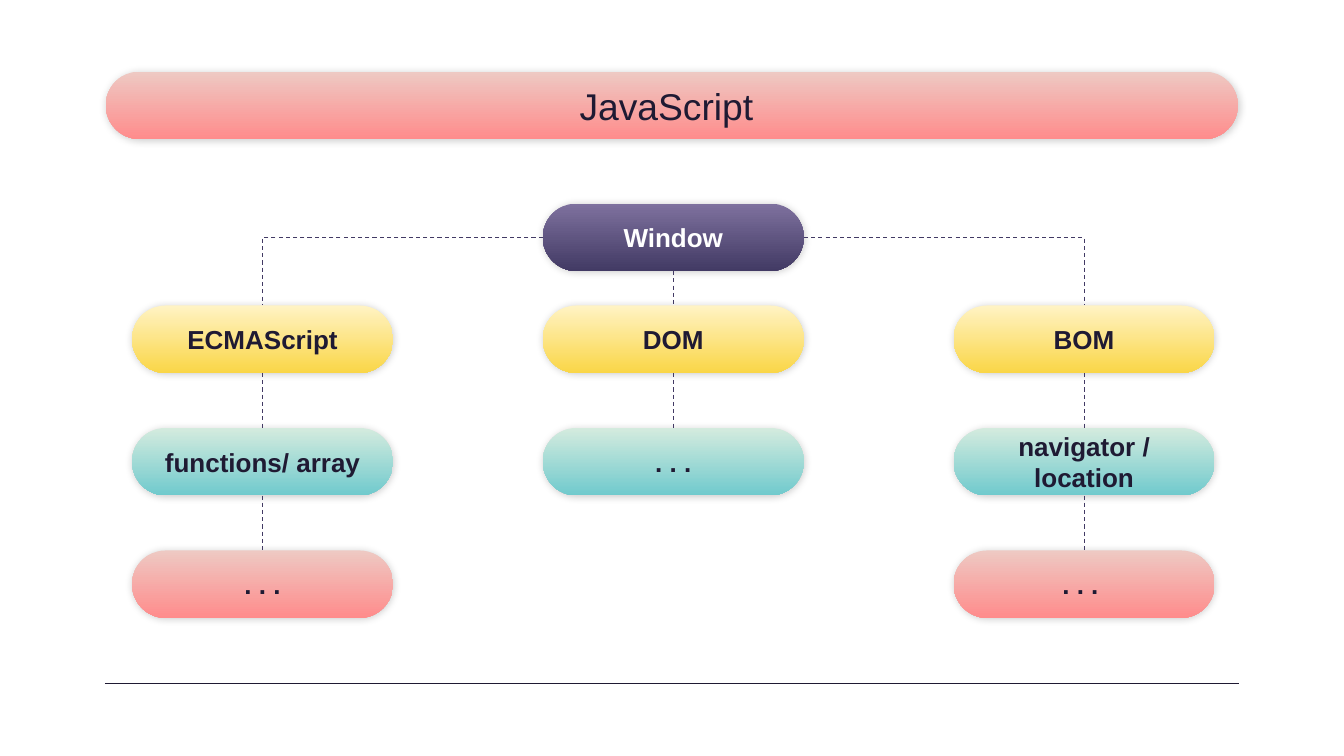
from dataclasses import dataclass

import lxml.etree
import pptx
import pptx.dml.color
import pptx.enum.dml
import pptx.enum.shapes
import pptx.enum.text
import pptx.oxml.ns
import pptx.shapes.autoshape
import pptx.shapes.connector
import pptx.slide
import pptx.util

Pt = pptx.util.Pt
qn = pptx.oxml.ns.qn


@dataclass(frozen=True)
class Theme:
    font: str = "Arial"
    title_size: float = 26.6
    label_size: float = 18.6
    ink: str = "1F1A33"
    light: str = "FFFFFF"
    connector: str = "423A64"
    shadow: str = "000000"
    coral: tuple[str, str] = ("EEC9C3", "FF8C8C")
    purple: tuple[str, str] = ("7E719E", "423A64")
    yellow: tuple[str, str] = ("FFF3C4", "FAD647")
    teal: tuple[str, str] = ("D4EBDE", "70CACD")


@dataclass(frozen=True)
class Pill:
    text: str
    left: float
    top: float
    width: float
    gradient: tuple[str, str]
    color: str
    size: float
    bold: bool = True


THEME = Theme()
PILL_WIDTH, PILL_HEIGHT = 186.5, 48.24
FIRST_LEFT, COLUMN_STEP = 94.3, 293.4
FIRST_TOP, ROW_STEP = 218.2, 87.5
WINDOW_TOP = 145.4
MARGIN, RULE_TOP = 75, 488.2
TOP, LEFT, BOTTOM, RIGHT = range(4)

COLUMNS = (
    ("ECMAScript", "functions/ array", ". . ."),
    ("DOM", ". . ."),
    ("BOM", "navigator / location", ". . . "),
)
ROW_GRADIENTS = (THEME.yellow, THEME.teal, THEME.coral)


def rgb(value: str) -> pptx.dml.color.RGBColor:
    return pptx.dml.color.RGBColor.from_string(value)


def add_soft_shadow(shape: pptx.shapes.autoshape.Shape) -> None:
    shape.shadow.inherit = False
    effects = shape._element.spPr.find(qn("a:effectLst"))
    shadow = lxml.etree.SubElement(
        effects, qn("a:outerShdw"), blurRad=str(Pt(5.6)), dist=str(Pt(0.8)),
        dir=str(66 * 60000), algn="bl", rotWithShape="0",
    )
    color = lxml.etree.SubElement(shadow, qn("a:srgbClr"), val=THEME.shadow)
    lxml.etree.SubElement(color, qn("a:alpha"), val="20000")


def add_pill(slide: pptx.slide.Slide, pill: Pill) -> pptx.shapes.autoshape.Shape:
    shape = slide.shapes.add_shape(
        pptx.enum.shapes.MSO_SHAPE.ROUNDED_RECTANGLE,
        Pt(pill.left), Pt(pill.top), Pt(pill.width), Pt(PILL_HEIGHT),
    )
    shape.adjustments[0] = 0.5
    shape.fill.gradient()
    shape.fill.gradient_angle = 270
    for stop, color, position in zip(shape.fill.gradient_stops, pill.gradient, (0, 1)):
        stop.color.rgb = rgb(color)
        stop.position = position
    shape.line.fill.background()
    add_soft_shadow(shape)

    frame = shape.text_frame
    frame.word_wrap = True
    frame.vertical_anchor = pptx.enum.text.MSO_ANCHOR.MIDDLE
    frame.margin_left = frame.margin_right = Pt(9.36)
    frame.margin_top = frame.margin_bottom = Pt(0)
    paragraph = frame.paragraphs[0]
    paragraph.alignment = pptx.enum.text.PP_ALIGN.CENTER
    run = paragraph.add_run()
    run.text = pill.text
    run.font.name = THEME.font
    run.font.size = Pt(pill.size)
    run.font.bold = pill.bold
    run.font.color.rgb = rgb(pill.color)
    return shape


def style_line(line: pptx.shapes.connector.Connector, color: str) -> None:
    line.line.color.rgb = rgb(color)
    line.line.width = Pt(0.75)
    lxml.etree.SubElement(line._element.spPr, qn("a:effectLst"))


def link(slide: pptx.slide.Slide, parent: pptx.shapes.autoshape.Shape,
         child: pptx.shapes.autoshape.Shape, side: int = BOTTOM) -> None:
    kinds = pptx.enum.shapes.MSO_CONNECTOR
    kind = kinds.STRAIGHT if side == BOTTOM else kinds.ELBOW
    connector = slide.shapes.add_connector(kind, Pt(0), Pt(0), Pt(0), Pt(0))
    connector.begin_connect(parent, side)
    connector.end_connect(child, TOP)
    if side != BOTTOM:
        connector._element.spPr.find(qn("a:prstGeom")).set("prst", "bentConnector2")
    connector.line.dash_style = pptx.enum.dml.MSO_LINE.DASH
    style_line(connector, THEME.connector)


def main() -> None:
    presentation = pptx.Presentation()
    presentation.slide_width, presentation.slide_height = Pt(960), Pt(540)
    slide = presentation.slides.add_slide(presentation.slide_layouts[6])

    add_pill(slide, Pill("JavaScript ", 75.6, 51.1, 808.6, THEME.coral,
                         THEME.ink, THEME.title_size, bold=False))
    rule = slide.shapes.add_connector(
        pptx.enum.shapes.MSO_CONNECTOR.STRAIGHT,
        Pt(MARGIN), Pt(RULE_TOP), Pt(960 - MARGIN), Pt(RULE_TOP),
    )
    style_line(rule, THEME.ink)

    window = add_pill(slide, Pill("Window", FIRST_LEFT + COLUMN_STEP, WINDOW_TOP,
                                  PILL_WIDTH, THEME.purple, THEME.light, THEME.label_size))
    for column, (labels, side) in enumerate(zip(COLUMNS, (LEFT, BOTTOM, RIGHT))):
        parent = window
        for row, (label, gradient) in enumerate(zip(labels, ROW_GRADIENTS)):
            child = add_pill(slide, Pill(
                label, FIRST_LEFT + column * COLUMN_STEP, FIRST_TOP + row * ROW_STEP,
                PILL_WIDTH, gradient, THEME.ink, THEME.label_size,
            ))
            link(slide, parent, child, side if row == 0 else BOTTOM)
            parent = child

    presentation.save("out.pptx")


if __name__ == "__main__":
    main()
